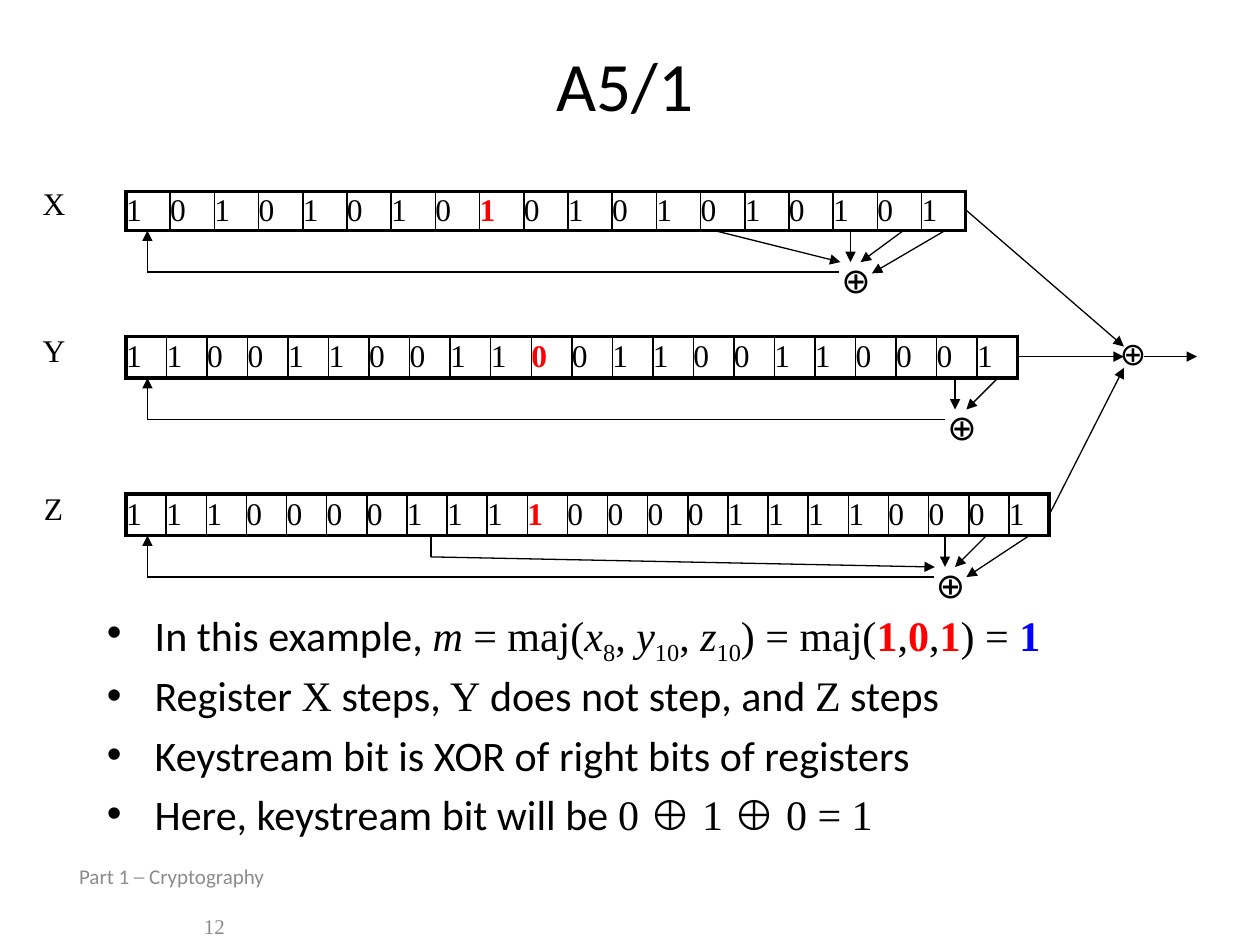
"""Build the A5/1 keystream slide with its three shift registers."""
from lxml import etree
from pptx import Presentation
from pptx.dml.color import RGBColor
from pptx.enum.shapes import MSO_CONNECTOR
from pptx.enum.text import MSO_ANCHOR, MSO_AUTO_SIZE, PP_ALIGN
from pptx.oxml.ns import qn
from pptx.util import Inches, Pt

STRAIGHT = MSO_CONNECTOR.STRAIGHT
MIDDLE = MSO_ANCHOR.MIDDLE
FIT_SHAPE = MSO_AUTO_SIZE.SHAPE_TO_FIT_TEXT
CENTER = PP_ALIGN.CENTER
SANS, SERIF = "Calibri", "Times New Roman"
BLACK, RED, BLUE, GRAY = "000000", "FF0000", "0000FF", "8C8C8C"
REGISTER_LEFT, FEEDBACK_X, FEEDBACK_DROP = 1, 1.17, 0.33

REGISTERS = [
    {"name": "X", "bits": "1010101010101010101", "clock": 8,
     "bottom": 1.83, "width": 6.67, "height": 0.31, "label_left": 0.24, "xor_left": 6.58,
     "taps": [(5.67, 6.67, 0.25), (6.75, 6.75, 0.25), (7.17, 6.83, 0.25), (7.5, 6.92, 0.34)]},
    {"name": "Y", "bits": "1100110011001100110001", "clock": 10,
     "bottom": 3, "width": 7.08, "height": 0.33, "label_left": 0.24, "xor_left": 7.42,
     "taps": [(7.58, 7.58, 0.25), (7.92, 7.67, 0.25)]},
    {"name": "Z", "bits": "11100001111000011110001", "clock": 10,
     "bottom": 4.25, "width": 7.33, "height": 0.33, "label_left": 0.25, "xor_left": 7.33,
     "taps": [(7.5, 7.5, 0.25), (7.83, 7.58, 0.25), (8.17, 7.67, 0.33)]},
]
BENT_TAP = [(3.42, 4.25), (3.42, 4.42), (7.42, 4.5)]
OUTPUT_ARROWS = [
    [(7.67, 1.67), (8.92, 2.75)],
    [(8.08, 2.83), (8.92, 2.83)],
    [(8.33, 4.08), (8.92, 2.92)],
    [(9.08, 2.83), (9.5, 2.83)],
]
MATH = {"font": SERIF}
ITALIC = {"font": SERIF, "italic": True}
SUBSCRIPT = {"font": SERIF, "baseline": -25}
RED_BIT = {"font": SERIF, "color": RED, "bold": True}
BLUE_BIT = {"font": SERIF, "color": BLUE, "bold": True}
BULLETS = [
    [("In this example, ", {}), ("m", ITALIC), (" = maj(", MATH),
     ("x", ITALIC), ("8", SUBSCRIPT), (", ", MATH),
     ("y", ITALIC), ("10", SUBSCRIPT), (", ", MATH),
     ("z", ITALIC), ("10", SUBSCRIPT), (") = maj(", MATH),
     ("1", RED_BIT), (",", MATH), ("0", RED_BIT), (",", MATH), ("1", RED_BIT),
     (") = ", MATH), ("1", BLUE_BIT)],
    [("Register ", {}), ("X", MATH), (" steps, ", {}), ("Y", MATH),
     (" does not step, and ", {}), ("Z", MATH), (" steps", {})],
    [("Keystream bit is XOR of right bits of registers", {})],
    [("Here, keystream bit will be ", {}), ("0 ⊕ 1 ⊕ 0 = 1", MATH)],
]
FOOTER = [("Part 1 ─ Cryptography", SANS, 0.03, 0), ("12", SERIF, 1.02, 14)]


def rgb(color):
    return RGBColor.from_string(color)


def add_span(para, text, size, font=SANS, color=BLACK, bold=False, italic=False, baseline=0):
    span = para.add_run()
    span.text = text
    span.font.size = Pt(size)
    span.font.name = font
    span.font.bold = bold
    span.font.italic = italic
    span.font.color.rgb = rgb(color)
    if baseline:
        span._r.get_or_add_rPr().set("baseline", str(baseline * 1000))


def add_frame(slide, left, top, width, height, wrap=True):
    box = slide.shapes.add_textbox(Inches(left), Inches(top), Inches(width), Inches(height))
    box.text_frame.word_wrap = wrap
    return box.text_frame


def add_label(slide, text, left, top, width, height, size, font=SANS):
    frame = add_frame(slide, left, top, width, height, wrap=False)
    frame.auto_size = FIT_SHAPE
    add_span(frame.paragraphs[0], text, size, font)


def next_para(frame, index):
    return frame.add_paragraph() if index else frame.paragraphs[0]


def add_path(slide, points, arrow=True):
    for index, (start, end) in enumerate(zip(points, points[1:]), 2):
        line = slide.shapes.add_connector(STRAIGHT, *[Inches(value) for value in start + end])
        line.line.color.rgb = rgb(BLACK)
        line.line.width = Pt(0.75)
        if arrow and index == len(points):
            etree.SubElement(line.line._get_or_add_ln(), qn("a:tailEnd"), type="triangle")
        etree.SubElement(line._element.spPr, qn("a:effectLst"))


def set_border(cell, side, width):
    edge = etree.SubElement(cell._tc.get_or_add_tcPr(), qn(f"a:ln{side}"), w=str(Pt(width)))
    fill = etree.SubElement(edge, qn("a:solidFill"))
    etree.SubElement(fill, qn("a:srgbClr"), val=BLACK)


def add_bits(slide, register):
    bits = register["bits"]
    count = len(bits)
    top = register["bottom"] - register["height"]
    table = slide.shapes.add_table(
        1, count, Inches(REGISTER_LEFT), Inches(top),
        Inches(register["width"]), Inches(register["height"])).table
    table.first_row = table.horz_banding = False
    for index, bit in enumerate(bits):
        table.columns[index].width = Inches(register["width"] / count)
        cell = table.cell(0, index)
        cell.margin_left = cell.margin_right = cell.margin_top = cell.margin_bottom = 0
        cell.vertical_anchor = MIDDLE
        set_border(cell, "L", 1 if index else 2.25)
        set_border(cell, "R", 1 if index < count - 1 else 2.25)
        set_border(cell, "T", 2.25)
        set_border(cell, "B", 2.25)
        cell.fill.background()
        para = cell.text_frame.paragraphs[0]
        para.space_before = Pt(3.6)
        add_span(para, bit, 18, **(RED_BIT if index == register["clock"] else MATH))


def add_register(slide, register):
    bottom, xor_left = register["bottom"], register["xor_left"]
    add_bits(slide, register)
    add_label(slide, register["name"], register["label_left"], bottom - 0.42, 0.42, 0.5, 18, SERIF)
    add_label(slide, "⊕", xor_left, bottom + 0.17, 0.41, 0.43, 20)
    for start, end, drop in register["taps"]:
        add_path(slide, [(start, bottom), (end, bottom + drop)])
    turn = bottom + FEEDBACK_DROP
    add_path(slide, [(xor_left + 0.08, turn), (FEEDBACK_X, turn), (FEEDBACK_X, bottom)])


def add_title(slide):
    title = slide.shapes.title
    title.left, title.top = Inches(0.75), Inches(0.33)
    title.width, title.height = Inches(8.42), Inches(0.67)
    title.text_frame.vertical_anchor = MIDDLE
    para = title.text_frame.paragraphs[0]
    para.alignment = CENTER
    add_span(para, "A5/1", 39.6)


def add_bullets(slide):
    frame = add_frame(slide, 0.75, 4.83, 8.5, 1.92)
    for index, spans in enumerate(BULLETS):
        para = next_para(frame, index)
        para.line_spacing = 0.8
        para.space_before, para.space_after = Pt(4.8), Pt(6)
        props = para._p.get_or_add_pPr()
        props.set("marL", str(Inches(0.38)))
        props.set("indent", str(Inches(-0.38)))
        etree.SubElement(props, qn("a:buFont"), typeface="Arial")
        etree.SubElement(props, qn("a:buChar"), char="•")
        for text, style in spans:
            add_span(para, text, 24, **style)


def add_footer(slide):
    frame = add_frame(slide, 0.5, 6.95, 2.33, 0.4)
    frame.vertical_anchor = MIDDLE
    for index, (text, font, indent, gap) in enumerate(FOOTER):
        para = next_para(frame, index)
        para.space_before = Pt(gap)
        para._p.get_or_add_pPr().set("marL", str(Inches(indent)))
        add_span(para, text, 12, font, GRAY)


def main():
    deck = Presentation()
    deck.slide_width, deck.slide_height = Inches(10), Inches(7.5)
    slide = deck.slides.add_slide(deck.slide_layouts[5])
    add_title(slide)
    add_bullets(slide)
    add_footer(slide)
    for register in REGISTERS:
        add_register(slide, register)
    add_path(slide, BENT_TAP)
    add_label(slide, "⊕", 8.79, 2.6, 0.46, 0.5, 18)
    for points in OUTPUT_ARROWS:
        add_path(slide, points)
    deck.save("out.pptx")


if __name__ == "__main__":
    main()
